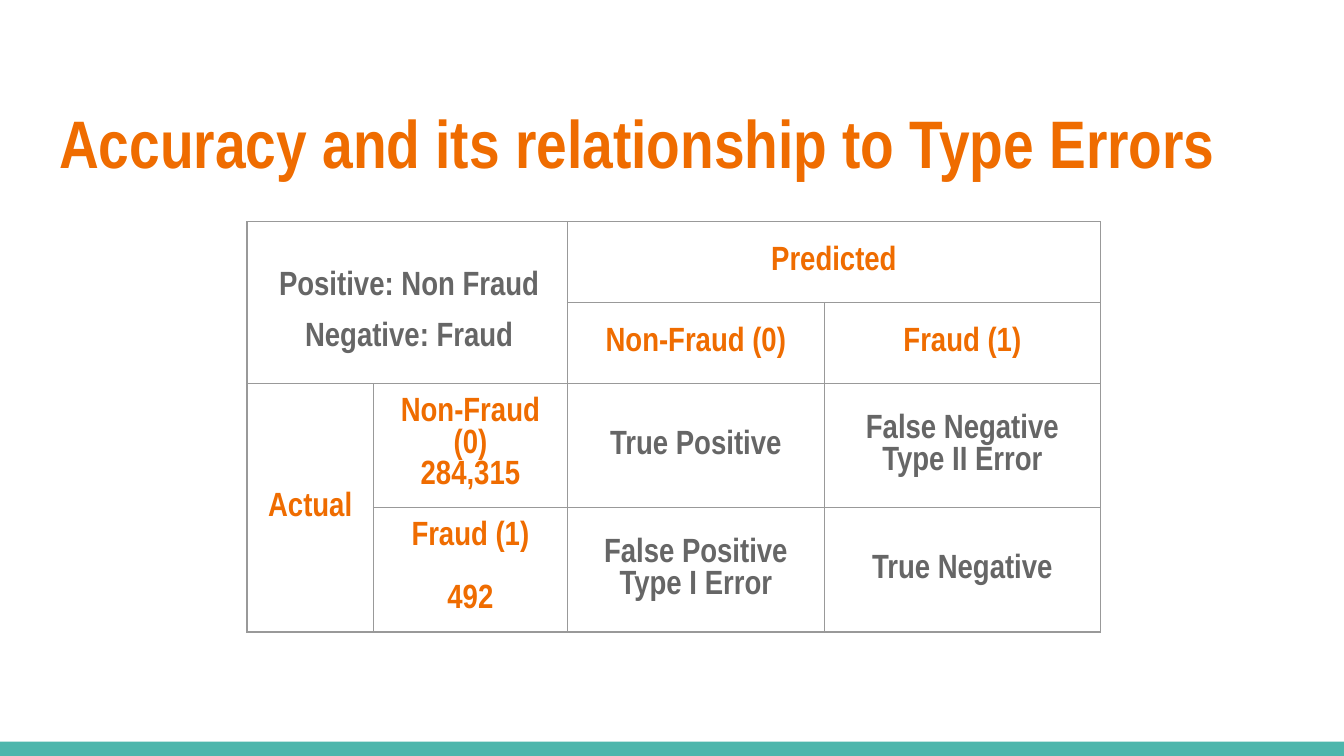
"""Build a slide that relates accuracy to the two error types."""
from lxml import etree
from pptx import Presentation
from pptx.dml.color import RGBColor
from pptx.enum.shapes import MSO_SHAPE
from pptx.enum.text import MSO_ANCHOR, PP_ALIGN
from pptx.oxml.ns import qn
from pptx.util import Pt

ORANGE, GRAY, TEAL, BORDER = "EF6C00", "666666", "4DB6AC", "999999"
MARGINS = dict.fromkeys(("margin_left", "margin_top", "margin_right", "margin_bottom"), Pt(7.2))


def color(value):
    return RGBColor.from_string(value)


def write(text_frame, lines, font_color, size=18, align=PP_ALIGN.CENTER, spacing=None):
    text_frame.text = "\n".join(lines)
    for paragraph in text_frame.paragraphs:
        paragraph.alignment = align
        paragraph.line_spacing = spacing
        font_format = {"name": "Arial Narrow", "size": Pt(size), "bold": True}
        for run in paragraph.runs:
            for name, value in font_format.items():
                setattr(run.font, name, value)
            run.font.color.rgb = color(font_color)


presentation = Presentation()
presentation.slide_width, presentation.slide_height = Pt(720), Pt(405)
slide = presentation.slides.add_slide(presentation.slide_layouts[5])

footer_bar = slide.shapes.add_shape(MSO_SHAPE.RECTANGLE, Pt(0), Pt(397.4), Pt(720), Pt(7.6))
footer_bar.shadow.inherit = False
footer_bar.fill.solid()
footer_bar.fill.fore_color.rgb = color(TEAL)
footer_bar.line.fill.background()

title = slide.shapes.title
title_format = {"left": Pt(24.5), "top": Pt(35.3), "width": Pt(671), "height": Pt(55.4)}
for name, value in title_format.items():
    setattr(title, name, value)
for name, value in {**MARGINS, "vertical_anchor": MSO_ANCHOR.TOP, "word_wrap": True}.items():
    setattr(title.text_frame, name, value)
write(title.text_frame, ["Accuracy and its relationship to Type Errors"], ORANGE, 36, PP_ALIGN.LEFT, 1.27)

column_widths = [67.8, 103.9, 137.7, 147.9]
row_heights = [43.4, 43.4, 66.5, 66.5]
table = slide.shapes.add_table(
    4, 4, Pt(132.3), Pt(118.8), Pt(sum(column_widths)), Pt(sum(row_heights))
).table
table.first_row = table.horz_banding = False
for column, width in zip(table.columns, column_widths):
    column.width = Pt(width)
for row, height in zip(table.rows, row_heights):
    row.height = Pt(height)

for cell in table.iter_cells():
    for name, value in {**MARGINS, "vertical_anchor": MSO_ANCHOR.MIDDLE}.items():
        setattr(cell, name, value)
    properties = cell._tc.get_or_add_tcPr()
    for side in ("a:lnL", "a:lnR", "a:lnT", "a:lnB"):
        line = etree.SubElement(properties, qn(side), w=str(Pt(0.75)))
        fill = etree.SubElement(line, qn("a:solidFill"))
        etree.SubElement(fill, qn("a:srgbClr"), val=BORDER)
    cell.fill.background()

for first, last in (((0, 0), (1, 1)), ((0, 2), (0, 3)), ((2, 0), (3, 0))):
    table.cell(*first).merge(table.cell(*last))

cell_texts = {
    (0, 2): (ORANGE, ["Predicted"]),
    (1, 2): (ORANGE, ["Non-Fraud (0)"]),
    (1, 3): (ORANGE, ["Fraud (1)"]),
    (2, 0): (ORANGE, ["Actual"]),
    (2, 1): (ORANGE, ["Non-Fraud (0)", "284,315"]),
    (2, 2): (GRAY, ["True Positive"]),
    (2, 3): (GRAY, ["False Negative", "Type II Error"]),
    (3, 1): (ORANGE, ["Fraud (1)", "492"]),
    (3, 2): (GRAY, ["False Positive", "Type I Error"]),
    (3, 3): (GRAY, ["True Negative"]),
}
for position, (font_color, lines) in cell_texts.items():
    write(table.cell(*position).text_frame, lines, font_color)
for row_index in (2, 3):
    table.cell(row_index, 1).vertical_anchor = MSO_ANCHOR.TOP
table.cell(3, 1).text_frame.paragraphs[1].space_before = Pt(16.9)

legend = slide.shapes.add_textbox(Pt(134.6), Pt(127.4), Pt(169.2), Pt(62.6))
for name, value in {**MARGINS, "word_wrap": True}.items():
    setattr(legend.text_frame, name, value)
write(legend.text_frame, ["Positive: Non Fraud", "Negative: Fraud"], GRAY, spacing=1.27)

presentation.save("out.pptx")
